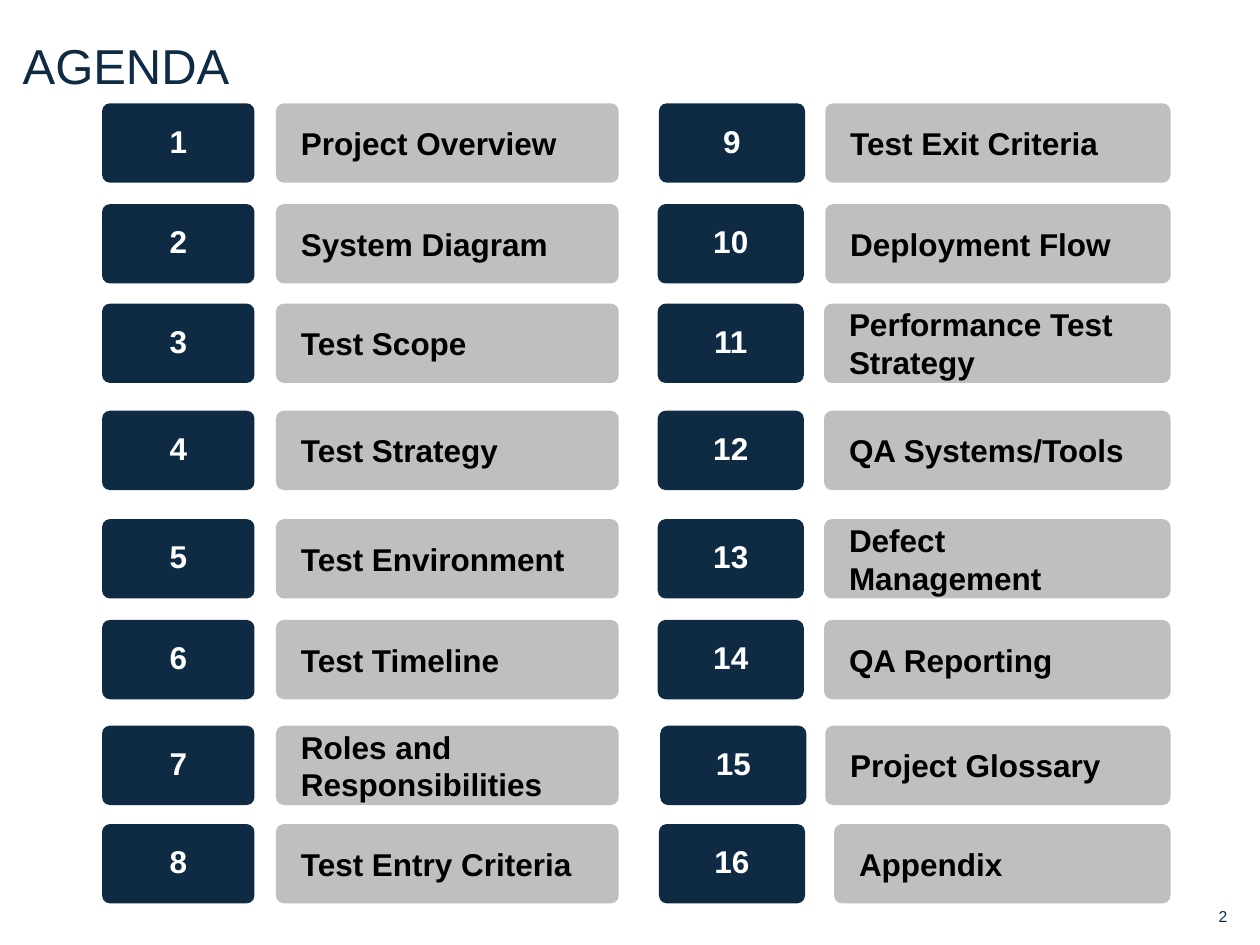
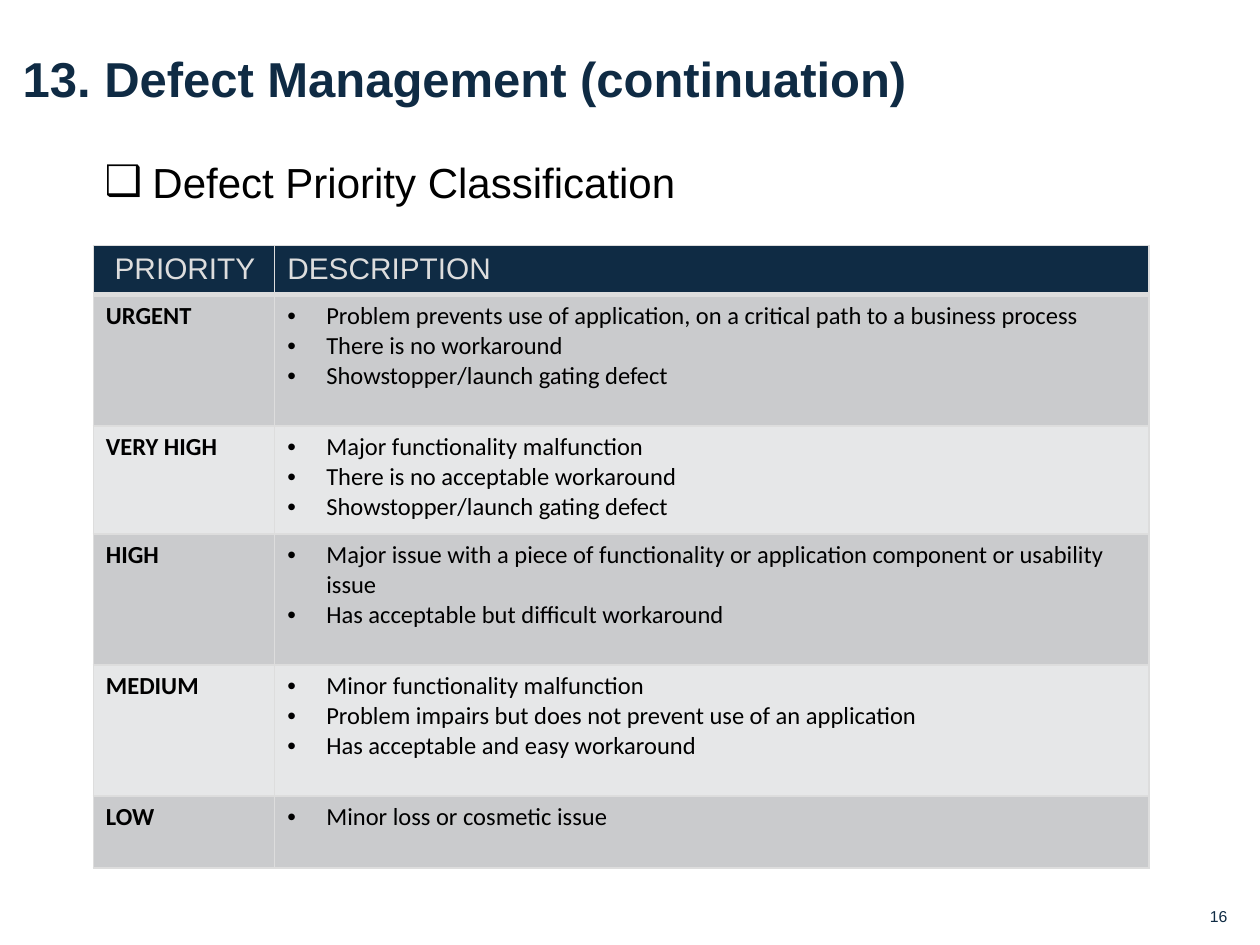
from lxml import etree
from pptx import Presentation
from pptx.dml.color import RGBColor
from pptx.enum.shapes import MSO_SHAPE
from pptx.enum.text import MSO_ANCHOR, MSO_AUTO_SIZE, PP_ALIGN
from pptx.oxml.ns import qn
from pptx.util import Inches, Pt

NAVY = RGBColor(0x0F, 0x2B, 0x44)
SILVER = RGBColor(0xBF, 0xBF, 0xBF)
DARK_BAND = RGBColor(0xCA, 0xCB, 0xCD)
LIGHT_BAND = RGBColor(0xE6, 0xE7, 0xE8)
RULE = RGBColor(0xDD, 0xDD, 0xDD)
BLACK = RGBColor(0, 0, 0)
WHITE = RGBColor(0xFF, 0xFF, 0xFF)


def write(frame, text, size, color, bold=False, font="Arial", align=PP_ALIGN.LEFT, insets=(0, 0, 0, 0)):
    frame.text = text
    frame.word_wrap = True
    frame.auto_size = MSO_AUTO_SIZE.NONE
    frame.vertical_anchor = MSO_ANCHOR.MIDDLE
    frame.margin_left, frame.margin_top, frame.margin_right, frame.margin_bottom = map(Inches, insets)
    for paragraph in frame.paragraphs:
        paragraph.alignment = align
        for run in paragraph.runs:
            run.font.name = font
            run.font.size = Pt(size)
            run.font.bold = bold
            run.font.color.rgb = color


def add_bullets(frame, symbol, indent):
    for paragraph in frame.paragraphs:
        properties = paragraph._p.get_or_add_pPr()
        properties.set("marL", str(Inches(indent)))
        properties.set("indent", str(-Inches(indent)))
        bullet_color = etree.SubElement(properties, qn("a:buClr"))
        etree.SubElement(bullet_color, qn("a:srgbClr")).set("val", str(BLACK))
        etree.SubElement(properties, qn("a:buFont")).set("typeface", "Arial")
        etree.SubElement(properties, qn("a:buChar")).set("char", symbol)


deck = Presentation()
deck.slide_width = Inches(10)
deck.slide_height = Inches(7.5)

headings = [
    ("AGENDA", 0.06, 0.91, False, "2"),
    ("13. Defect Management (continuation)", 0.28, 0.67, True, "16"),
]
for heading, top, height, bold, page in headings:
    slide = deck.slides.add_slide(deck.slide_layouts[5])
    title = slide.shapes.title
    title.left, title.top = Inches(0.18), Inches(top)
    title.width, title.height = Inches(9.41), Inches(height)
    write(title.text_frame, heading, 28, NAVY, bold, insets=(0, 0, 0.07, 0))
    page_number = slide.shapes.add_shape(
        MSO_SHAPE.ROUNDED_RECTANGLE, Inches(9.44), Inches(7.07), Inches(0.42), Inches(0.4))
    page_number.shadow.inherit = False
    page_number.fill.background()
    page_number.line.fill.background()
    write(page_number.text_frame, page, 9, NAVY, align=PP_ALIGN.RIGHT, insets=(0, 0, 0.1, 0))

agenda, defects = deck.slides

row_tops = [0.82, 1.62, 2.41, 3.26, 4.12, 4.92, 5.76, 6.54]
topics = [
    "Project Overview", "System Diagram", "Test Scope", "Test Strategy",
    "Test Environment", "Test Timeline", "Roles and Responsibilities", "Test Entry Criteria",
    "Test Exit Criteria", "Deployment Flow", "Performance Test Strategy", "QA Systems/Tools",
    "Defect Management", "QA Reporting", "Project Glossary", "Appendix",
]
number_lefts = [0.81] * 8 + [5.23, 5.22, 5.22, 5.22, 5.22, 5.22, 5.24, 5.23]
topic_lefts = [2.19] * 8 + [6.55, 6.55, 6.54, 6.54, 6.54, 6.54, 6.55, 6.62]
number_widths = [1.21, 1.16]
topic_rights = [4.91, 9.29]
for index, topic in enumerate(topics):
    column, row = divmod(index, len(row_tops))
    topic_left = topic_lefts[index]
    tiles = [
        (topic, topic_left, topic_rights[column] - topic_left, SILVER, BLACK, PP_ALIGN.LEFT, 0.18),
        (str(index + 1), number_lefts[index], number_widths[column], NAVY, WHITE, PP_ALIGN.CENTER, 0.1),
    ]
    for label, left, width, fill, color, align, inset in tiles:
        tile = agenda.shapes.add_shape(
            MSO_SHAPE.ROUNDED_RECTANGLE, Inches(left), Inches(row_tops[row]), Inches(width), Inches(0.63))
        tile.adjustments[0] = 0.1
        tile.shadow.inherit = False
        tile.fill.solid()
        tile.fill.fore_color.rgb = fill
        tile.line.fill.background()
        write(tile.text_frame, label, 18, color, True, align=align, insets=(inset, 0.1, inset, 0.1))
        if fill == NAVY:
            tile.text_frame.paragraphs[0].line_spacing = 0.9

priorities = [
    ("PRIORITY", ["DESCRIPTION"]),
    ("URGENT", ["Problem prevents use of application, on a critical path to a business process",
                "There is no workaround", "Showstopper/launch gating defect"]),
    ("VERY HIGH", ["Major functionality malfunction", "There is no acceptable workaround",
                   "Showstopper/launch gating defect"]),
    ("HIGH", ["Major issue with a piece of functionality or application component or usability issue",
              "Has acceptable but difficult workaround"]),
    ("MEDIUM", ["Minor functionality malfunction",
                "Problem impairs but does not prevent use of an application",
                "Has acceptable and easy workaround"]),
    ("LOW", ["Minor loss or cosmetic issue"]),
]
column_widths = [1.44, 6.94]
row_heights = [0.39, 1.04, 0.86, 1.04, 1.04, 0.57]
priority_table = defects.shapes.add_table(
    len(row_heights), len(column_widths), Inches(0.74), Inches(1.95),
    Inches(sum(column_widths)), Inches(sum(row_heights))).table
for column, width in zip(priority_table.columns, column_widths):
    column.width = Inches(width)
for row, height in zip(priority_table.rows, row_heights):
    row.height = Inches(height)

for row, (priority, descriptions) in enumerate(priorities):
    for column, text in enumerate([priority, "\n".join(descriptions)]):
        cell = priority_table.cell(row, column)
        if row == 0:
            write(cell.text_frame, text, 17, RULE)
            fill = NAVY
        else:
            write(cell.text_frame, text, 14, BLACK, column == 0, "Calibri")
            fill = DARK_BAND if row % 2 else LIGHT_BAND
            if column == 1:
                add_bullets(cell.text_frame, "•", 0.31)
        cell.vertical_anchor = MSO_ANCHOR.TOP
        cell.margin_left = Inches(0.17 if (row, column) == (0, 0) else 0.1)
        cell.margin_right = Inches(0.1)
        cell.margin_top = cell.margin_bottom = Inches(0.05)
        for side in ("L", "R", "T", "B"):
            heavy = (row, side) in [(0, "B"), (1, "T")]
            border = etree.SubElement(cell._tc.get_or_add_tcPr(), qn(f"a:ln{side}"))
            border.set("w", str(Pt(3 if heavy else 1)))
            border_fill = etree.SubElement(border, qn("a:solidFill"))
            etree.SubElement(border_fill, qn("a:srgbClr")).set("val", str(RULE))
        cell.fill.solid()
        cell.fill.fore_color.rgb = fill

classification = defects.shapes.add_textbox(Inches(0.78), Inches(1.19), Inches(8.28), Inches(0.5))
write(classification.text_frame, "Defect Priority Classification", 24, BLACK, insets=(0.05, 0.05, 0.05, 0.05))
classification.text_frame.vertical_anchor = MSO_ANCHOR.TOP
add_bullets(classification.text_frame, "❑", 0.38)

deck.save("out.pptx")
